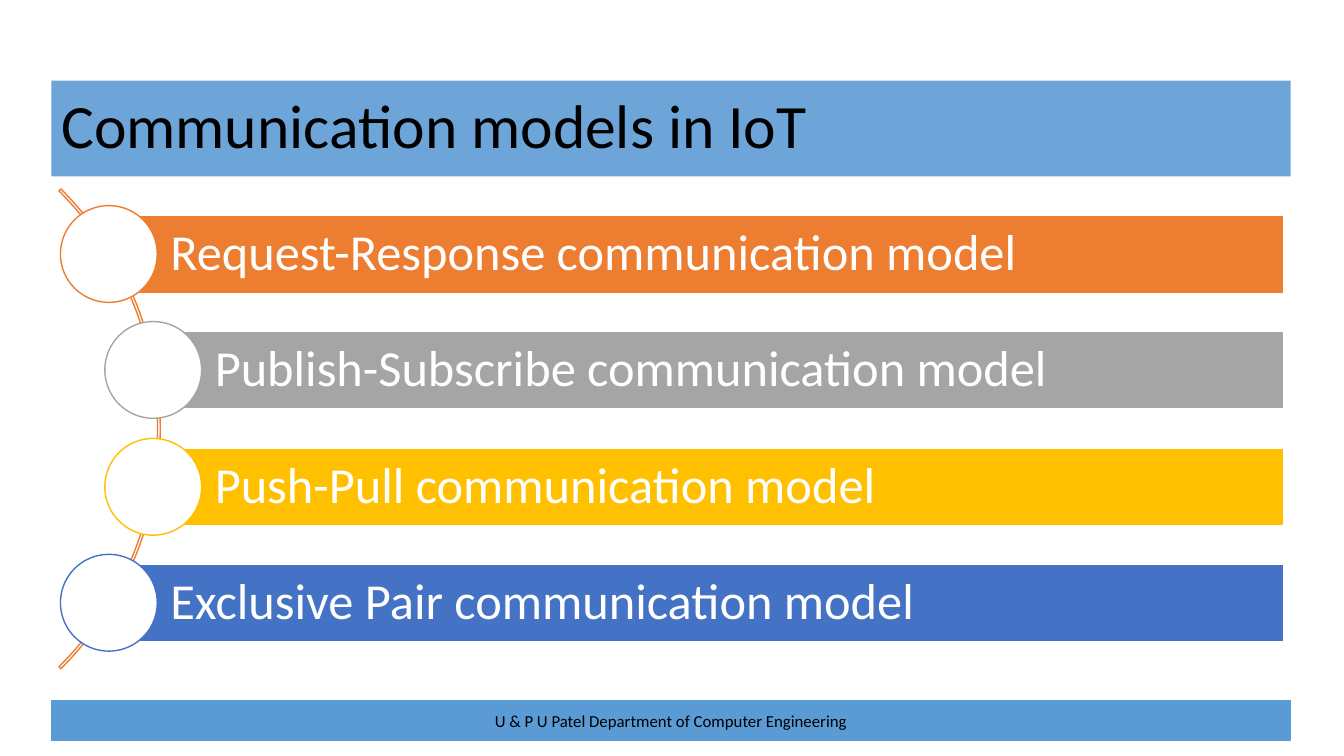
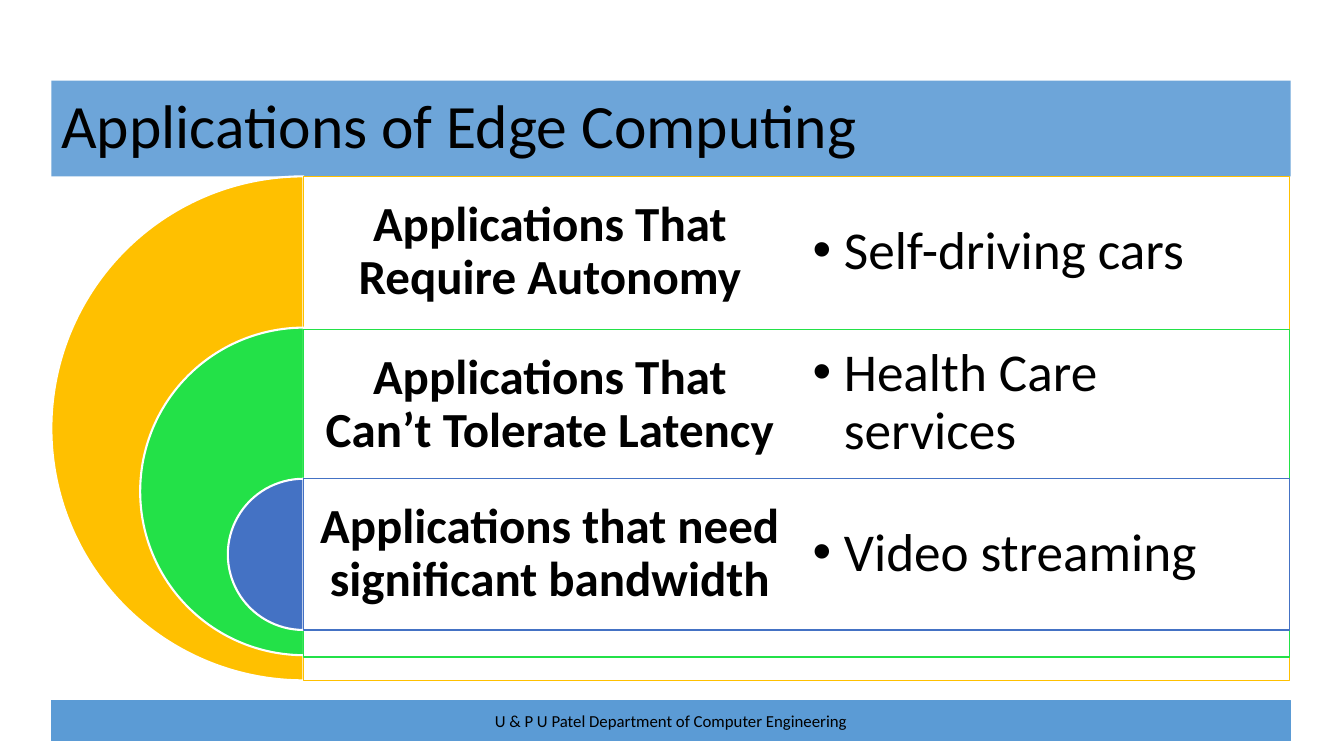
from pptx import Presentation
from pptx.dml.color import RGBColor
from pptx.enum.shapes import MSO_SHAPE as SHAPE
from pptx.enum.text import MSO_ANCHOR as ANCHOR, PP_ALIGN as ALIGN
from pptx.oxml.ns import qn
from pptx.util import Pt
from lxml import etree

PX = 9144  # 100 px to the inch
FONT = "Calibri"
COLORS = {
    "band": "5B9BD5", "orange": "ED7D31", "gray": "A5A5A5", "gold": "FFC000",
    "green": "23E148", "blue": "4472C4", "white": "FFFFFF", "black": "000000",
}
BAND_LEFT, BAND_WIDTH = 51, 1229
FOOTER = "U & P U Patel Department of Computer Engineering"

MODELS = [
    ("Request-Response communication model", "orange", 108),
    ("Publish-Subscribe communication model", "gray", 152),
    ("Push-Pull communication model", "gold", 152),
    ("Exclusive Pair communication model", "blue", 108),
]
# heading, example, colour, panel top, diameter
APPLICATIONS = [
    ("Applications That Require Autonomy", "Self-driving cars", "gold", 175, 500),
    ("Applications That Can’t Tolerate Latency", "Health Care services", "green", 327, 325),
    ("Applications that need significant bandwidth", "Video streaming", "blue", 475, 150),
]


def color(name):
    return RGBColor.from_string(COLORS[name])


def emu(*lengths):
    return [length * PX for length in lengths]


def add_shape(slide, kind, box, fill=None, line=None, width=1, opacity=100):
    sp = slide.shapes.add_shape(kind, *emu(*box))
    sp.shadow.inherit = False
    if fill:
        sp.fill.solid()
        sp.fill.fore_color.rgb = color(fill)
        if opacity < 100:
            rgb = sp.element.spPr.find(qn("a:solidFill")).find(qn("a:srgbClr"))
            etree.SubElement(rgb, qn("a:alpha"), val=str(opacity * 1000))
    else:
        sp.fill.background()
    if line:
        sp.line.color.rgb = color(line)
        sp.line.width = Pt(width)
    else:
        sp.line.fill.background()
    return sp


def set_text(sp, text, size, font_color="black", align=ALIGN.LEFT, bold=False,
             insets=(10, 5, 10, 5), spacing=0.9):
    """Write one paragraph; insets run left, top, right, bottom."""
    tf = sp.text_frame
    tf.word_wrap = True
    tf.vertical_anchor = ANCHOR.MIDDLE
    tf.margin_left, tf.margin_top, tf.margin_right, tf.margin_bottom = emu(*insets)
    p = tf.paragraphs[0]
    p.alignment = align
    p.line_spacing = spacing
    r = p.add_run()
    r.text = text
    r.font.name, r.font.size, r.font.bold = FONT, Pt(size), bold
    r.font.color.rgb = color(font_color)
    return p


def add_text(slide, box, text, size, **style):
    return set_text(slide.shapes.add_textbox(*emu(*box)), text, size, **style)


def add_bullet(p, indent):
    pPr = p._p.get_or_add_pPr()
    pPr.set("marL", str(indent * PX))
    pPr.set("indent", str(-indent * PX))
    etree.SubElement(pPr, qn("a:buFont"), typeface="Arial")
    etree.SubElement(pPr, qn("a:buChar"), char="•")


def add_slide(prs, title):
    """Add a slide with the shared footer and title bands."""
    slide = prs.slides.add_slide(prs.slide_layouts[6])
    footer = add_shape(slide, SHAPE.RECTANGLE, (BAND_LEFT, 695, BAND_WIDTH, 40),
                       "band", "band", 0.75)
    set_text(footer, FOOTER, 12, align=ALIGN.CENTER, spacing=1.0)
    band = add_shape(slide, SHAPE.RECTANGLE, (BAND_LEFT, 80, BAND_WIDTH, 95),
                     "band", opacity=89)
    set_text(band, title, 44)
    return slide


def add_models(slide):
    arc = add_shape(slide, SHAPE.BLOCK_ARC, (-514, 89, 673, 673), line="orange")
    for i, value in enumerate((189, 27, 0.004)):
        arc.adjustments[i] = value
    right, height, diameter = 1273, 77, 96
    for i, (text, accent, left) in enumerate(MODELS):
        top = 214 + round(i * 346 / 3)
        bar = add_shape(slide, SHAPE.RECTANGLE, (left, top, right - left, height),
                        accent, "white")
        set_text(bar, text, 36, "white", insets=(61, 10, 10, 10))
        add_shape(slide, SHAPE.OVAL,
                  (left - diameter // 2, top - 10, diameter, diameter),
                  "white", accent)


def add_applications(slide):
    center, panel_width, row = 301, 978, 150
    column = panel_width // 2
    for i, (heading, example, accent, top, diameter) in enumerate(APPLICATIONS):
        row_top = 175 + i * row
        pie = add_shape(slide, SHAPE.PIE,
                        (center - diameter // 2, row_top, diameter, diameter),
                        accent, "white", 1.5)
        pie.adjustments[0], pie.adjustments[1] = 54, 162
        add_shape(slide, SHAPE.RECTANGLE, (center, top, panel_width, diameter),
                  "white", accent, opacity=90)
        add_text(slide, (center, top, column, row), heading, 35,
                 align=ALIGN.CENTER, bold=True, insets=(15,) * 4)
        p = add_text(slide, (center + column, row_top, column, row), example, 38,
                     insets=(16,) * 4)
        add_bullet(p, 31)


def main():
    prs = Presentation()
    prs.slide_width, prs.slide_height = emu(1333, 750)
    add_models(add_slide(prs, "Communication models in IoT"))
    add_applications(add_slide(prs, "Applications of Edge Computing"))
    prs.save("out.pptx")


if __name__ == "__main__":
    main()
